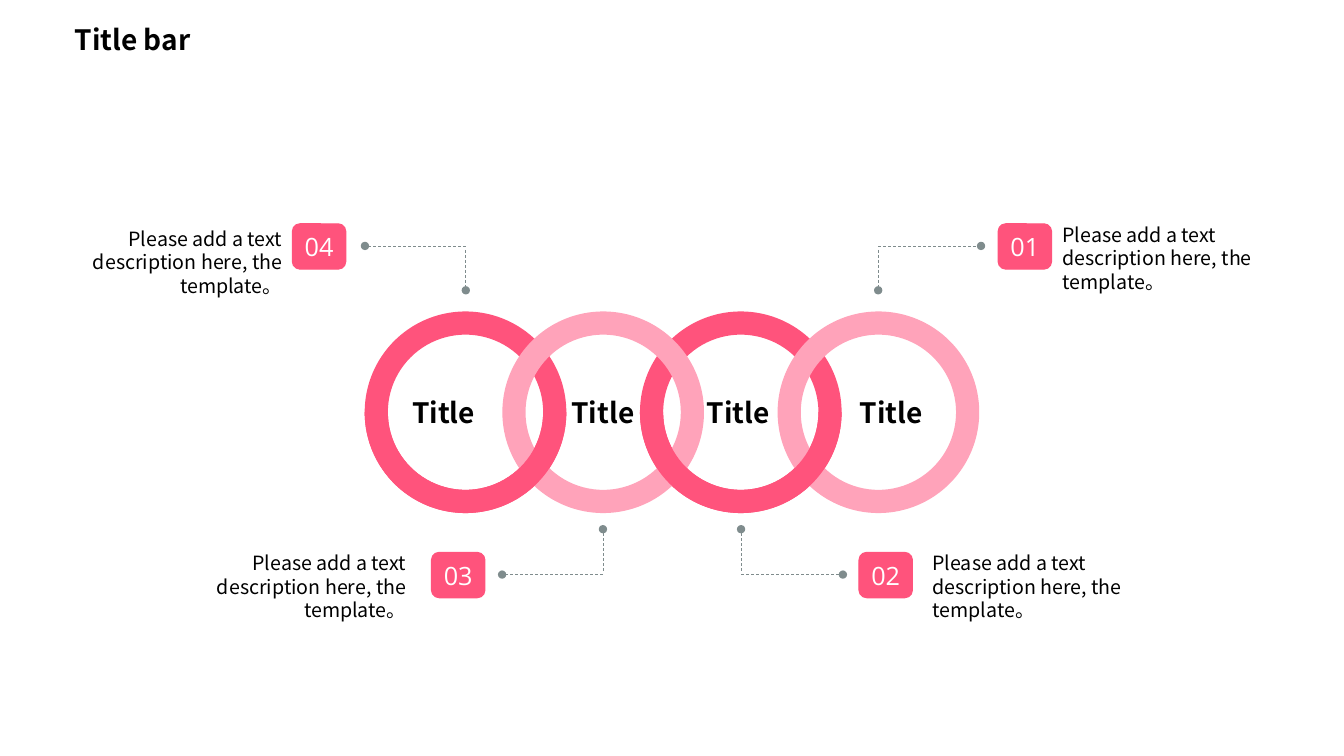
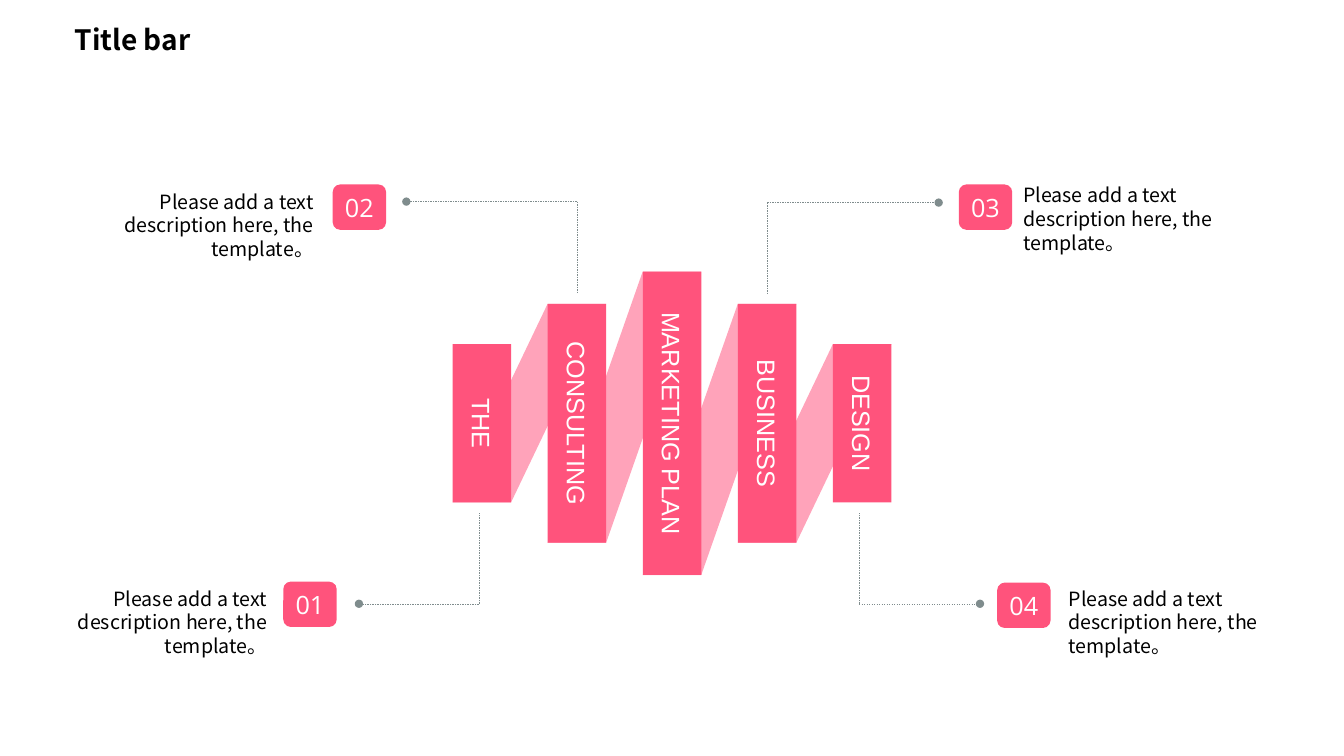
from lxml import etree
from pptx import Presentation
from pptx.dml.color import RGBColor
from pptx.enum.dml import MSO_LINE
from pptx.enum.shapes import MSO_CONNECTOR, MSO_SHAPE
from pptx.enum.text import MSO_ANCHOR, PP_ALIGN
from pptx.oxml.ns import qn
from pptx.util import Inches, Pt

LEFT, MID, RIGHT = PP_ALIGN.LEFT, PP_ALIGN.CENTER, PP_ALIGN.RIGHT
TOP, CENTER = MSO_ANCHOR.TOP, MSO_ANCHOR.MIDDLE
RECT, ROUND = MSO_SHAPE.RECTANGLE, MSO_SHAPE.ROUNDED_RECTANGLE
RING, ARC = MSO_SHAPE.DONUT, MSO_SHAPE.BLOCK_ARC

# Shared look
WIDTH, HEIGHT = 13.33, 7.5
ROSE, PINK, GREY = "FF537C", "FFA3BA", "7F8C8D"
BLACK, WHITE = "000000", "FFFFFF"
SANS = "Noto Sans CJK SC"
HEAD = dict(name=SANS, size=Pt(20), bold=True)
BODY = dict(name=SANS, size=Pt(14), bold=False)
NUMBER = dict(name="Open Sans", size=Pt(18), bold=False)
LABEL = dict(name="Arial", size=Pt(18), bold=False)
BADGE = (0.53, 0.45)

# Content
TITLE = "Title bar"
NOTE = "Please add a text description here, the template。"

# number, badge corner, note (left, top, width), alignment,
# leader: post x, post end y, corner y, dot x
CHAIN = [
    ("01", (9.9, 2.22), (10.44, 2.16, 2.16), LEFT, (8.71, 2.88, 2.44, 9.73)),
    ("02", (8.52, 5.48), (9.15, 5.42, 2.16), LEFT, (7.35, 5.25, 5.7, 8.36)),
    ("03", (4.28, 5.48), (1.97, 5.42, 2.16), RIGHT, (5.98, 5.25, 5.7, 4.98)),
    ("04", (2.9, 2.22), (0.74, 2.2, 2.16), RIGHT, (4.62, 2.88, 2.44, 3.62)),
]
FOLD = [
    ("01", (2.81, 5.77), (0.64, 5.77, 2.11), RIGHT, (4.75, 5.09, 5.99, 3.56)),
    ("02", (3.3, 1.83), (1.05, 1.83, 2.16), RIGHT, (5.72, 2.91, 2, 4.03)),
    ("03", (9.51, 1.83), (10.05, 1.77, 2.16), LEFT, (7.61, 2.91, 2.01, 9.31)),
    ("04", (9.89, 5.78), (10.5, 5.77, 2.08), LEFT, (8.52, 5.09, 5.99, 9.72)),
]
# ring colour, title, title centre x
RINGS = [(ROSE, "Title", 4.4), (PINK, "Title", 5.98),
         (ROSE, "Title", 7.32), (PINK, "Title", 8.84)]
# bar text, bar length
BARS = [("THE", 1.57), ("CONSULTING", 2.37), ("MARKETING PLAN", 3.01),
        ("BUSINESS", 2.37), ("DESIGN", 1.57)]


def color(code):
    return RGBColor.from_string(code)


def box(*sizes):
    return [Inches(size) for size in sizes]


def write(shape, text, font, ink, align=LEFT, anchor=TOP, wrap=True):
    frame = shape.text_frame
    frame.word_wrap, frame.vertical_anchor = wrap, anchor
    para = frame.paragraphs[0]
    para.alignment = align
    run = para.add_run()
    run.text = text
    for key, value in font.items():
        setattr(run.font, key, value)
    run.font.color.rgb = color(ink)
    east = etree.SubElement(run.font._element, qn("a:ea"))
    east.set("typeface", font["name"])


def paint(shape, fill, edge=0):
    shape.shadow.inherit = False
    shape.fill.solid()
    shape.fill.fore_color.rgb = color(fill)
    if edge:
        shape.line.color.rgb = color(fill)
        shape.line.width = Pt(edge)
    else:
        shape.line.fill.background()
    return shape


def draw(slide, kind, place, fill, edge=0):
    return paint(slide.shapes.add_shape(kind, *box(*place)), fill, edge)


def note(slide, place, *style, **more):
    write(slide.shapes.add_textbox(*box(*place)), *style, **more)


def rule(slide, start, end, width, dot):
    """Dashed line, with a dot at its end when asked."""
    line = slide.shapes.add_connector(
        MSO_CONNECTOR.STRAIGHT, *box(*start, *end))
    line.line.color.rgb = color(GREY)
    line.line.width = Pt(width)
    line.line.dash_style = MSO_LINE.DASH
    if dot:
        etree.SubElement(line.line._ln, qn("a:tailEnd"), type="oval")
    etree.SubElement(line._element.spPr, qn("a:effectLst"))


def callouts(slide, items, width, edge, gap, dot):
    for number, corner, (left, top, wide), align, leader in items:
        post, end, turn, tip = leader
        start = turn + (gap if end > turn else -gap)
        rule(slide, (post, start), (post, end), width, dot)
        rule(slide, (post, turn), (tip, turn), width, True)
        badge = draw(slide, ROUND, (*corner, *BADGE), ROSE, edge)
        write(badge, number, NUMBER, WHITE, MID, CENTER, wrap=False)
        note(slide, (left, top, wide, 0.58), NOTE, BODY, BLACK, align)


def rings(slide):
    size, pitch, thick, top = 2, 1.365, 0.115, 3.09
    first = (WIDTH - size - pitch * (len(RINGS) - 1)) / 2
    spots = [(first + i * pitch, top, size, size) for i in range(len(RINGS))]
    # Pink lies over rose above; rose lower halves lie over pink below
    for kind, shade, turns in ((RING, ROSE, ()), (RING, PINK, ()),
                               (ARC, ROSE, (0, 108))):
        for spot, (fill, _, _) in zip(spots, RINGS):
            if fill == shade:
                ring = draw(slide, kind, spot, fill)
                for i, value in enumerate((*turns, thick)):
                    ring.adjustments[i] = value
    for _, text, x in RINGS:
        note(slide, (x - 0.45, 3.87, 0.9, 0.44), text, HEAD, BLACK, MID)


def ribbon(slide):
    wide, pitch, mid = 0.58, 0.943, 4.2
    first = WIDTH / 2 - pitch * (len(BARS) - 1) / 2
    bars = [(first + i * pitch, size, text)
            for i, (text, size) in enumerate(BARS)]
    # Each fold runs from one bar's foot to the next bar's head
    for (x, size, _), (after, tall, _) in zip(bars, bars[1:]):
        foot, head, half = mid + size / 2, mid - tall / 2, wide / 2
        points = [(x - half, foot), (after - half, head),
                  (after + half, head), (x + half, foot)]
        start, *rest = [box(*point) for point in points]
        form = slide.shapes.build_freeform(*start)
        form.add_line_segments(rest, close=True)
        paint(form.convert_to_shape(), PINK)
    for x, size, text in bars:
        bar = draw(slide, RECT, (x - size / 2, mid - wide / 2, size, wide),
                   ROSE)
        bar.rotation = 90
        write(bar, text, LABEL, WHITE, MID, CENTER)


def main():
    deck = Presentation()
    deck.slide_width, deck.slide_height = box(WIDTH, HEIGHT)
    layout = deck.slide_layouts[5]
    title = layout.placeholders[0]
    title.left, title.top, title.width, title.height = box(
        0.64, 0.17, 1.91, 0.44)

    # Body of each slide, then its callouts: line width, edge, gap, dots
    for body, items, style in ((rings, CHAIN, (0.5, 0.75, 0.04, True)),
                               (ribbon, FOLD, (0.25, 0, 0, False))):
        slide = deck.slides.add_slide(layout)
        write(slide.shapes.title, TITLE, HEAD, BLACK)
        body(slide)
        callouts(slide, items, *style)
    deck.save("out.pptx")


if __name__ == "__main__":
    main()
